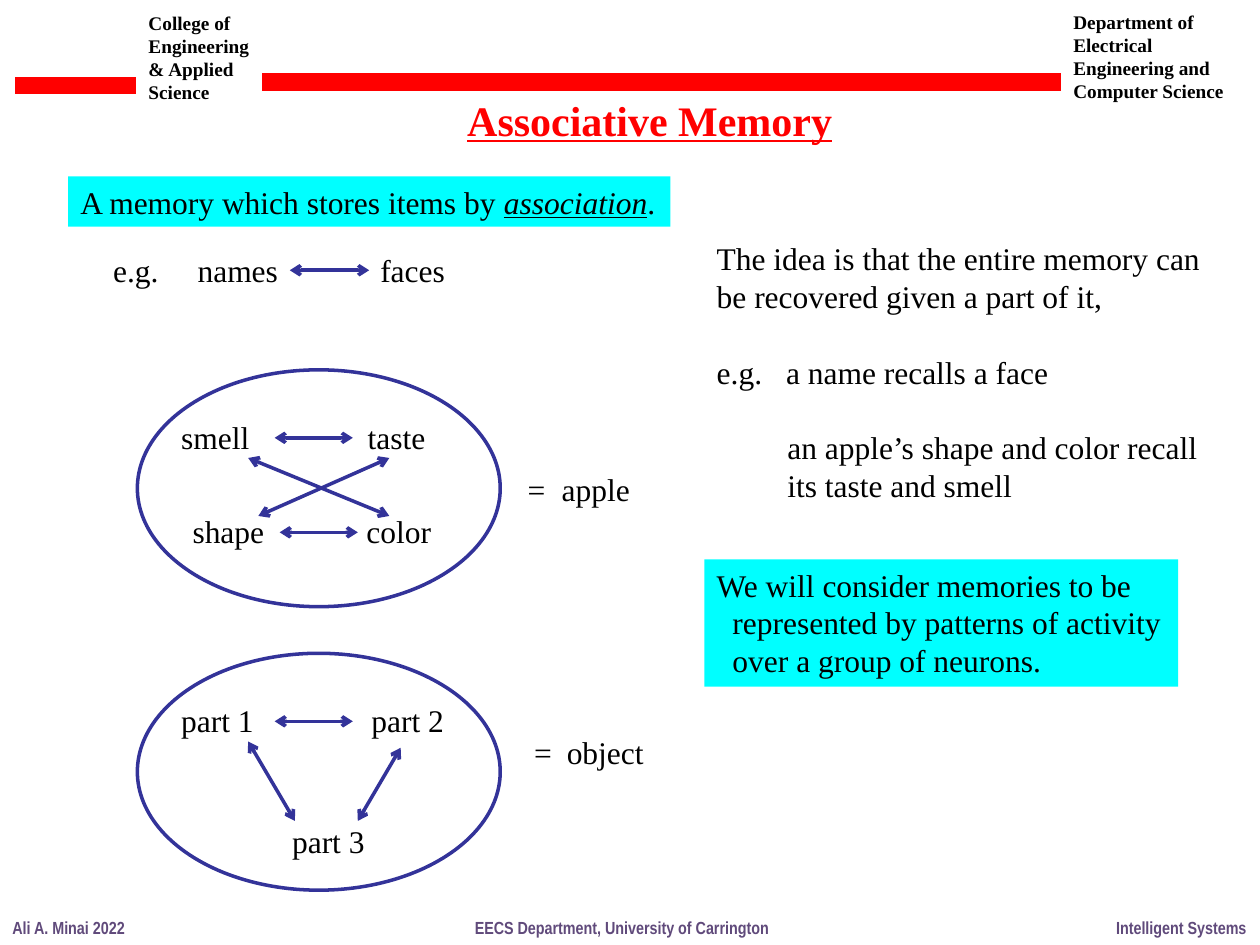
from dataclasses import dataclass
from typing import Optional

from lxml.etree import SubElement
from pptx import Presentation
from pptx.dml.color import RGBColor
from pptx.enum.shapes import MSO_CONNECTOR as CONN, MSO_SHAPE as SHAPE
from pptx.enum.text import MSO_ANCHOR as ANCHOR, PP_ALIGN as ALIGN
from pptx.oxml.ns import qn
from pptx.util import Emu, Inches, Pt

BLACK = RGBColor(0x00, 0x00, 0x00)
RED = RGBColor(0xFF, 0x00, 0x00)
CYAN = RGBColor(0x00, 0xFF, 0xFF)
INDIGO = RGBColor(0x33, 0x33, 0x99)
PURPLE = RGBColor(0x60, 0x4A, 0x7B)

COLS, ROWS = 100, 75
SERIF, NARROW = "Times New Roman", "Arial Narrow"


@dataclass(frozen=True)
class Run:
    text: str
    emphasis: bool = False


@dataclass(frozen=True)
class Para:
    runs: tuple[Run, ...]
    indent: float = 0
    hanging: float = 0
    before: float = 0


@dataclass(frozen=True)
class Style:
    size: float = 18
    font: str = SERIF
    color: RGBColor = BLACK
    bold: bool = False
    underline: bool = False


@dataclass(frozen=True)
class Block:
    box: tuple[float, float, float, float]
    paras: tuple[Para, ...]
    style: Style = Style()
    fill: Optional[RGBColor] = None
    wrap: bool = True


@dataclass(frozen=True)
class Line:
    start: tuple[float, float]
    end: tuple[float, float]
    color: RGBColor = INDIGO
    width: float = 2
    arrows: bool = True


def para(text: str, **options: float) -> Para:
    return Para((Run(text),), **options)


def label(x: float, y: float, text: str) -> Block:
    return Block((x, y, 10, 4), (para(text),))


prs = Presentation()
prs.slide_width, prs.slide_height = Inches(10), Inches(7.5)
s = prs.slides.add_slide(prs.slide_layouts[6])


def col(n: float) -> Emu:
    return Emu(round(prs.slide_width * n / COLS))


def row(n: float) -> Emu:
    return Emu(round(prs.slide_height * n / ROWS))


def place(box: tuple[float, float, float, float]) -> tuple[Emu, Emu, Emu, Emu]:
    x, y, w, h = box
    return col(x), row(y), col(w), row(h)


def draw_block(b: Block) -> None:
    if b.fill is None:
        sp = s.shapes.add_textbox(*place(b.box))
    else:
        sp = s.shapes.add_shape(SHAPE.RECTANGLE, *place(b.box))
        sp.shadow.inherit = False
        sp.fill.solid()
        sp.fill.fore_color.rgb = b.fill
        sp.line.fill.background()
    tf = sp.text_frame
    tf.word_wrap = b.wrap
    tf.vertical_anchor = ANCHOR.TOP
    for i, item in enumerate(b.paras):
        p = tf.paragraphs[0] if i == 0 else tf.add_paragraph()
        p.alignment = ALIGN.LEFT
        p.space_before = Pt(item.before)
        pPr = p._p.get_or_add_pPr()
        pPr.set("marL", str(col(item.indent)))
        pPr.set("indent", str(-col(item.hanging)))
        for part in item.runs:
            r = p.add_run()
            r.text = part.text
            r.font.name = b.style.font
            r.font.size = Pt(b.style.size)
            r.font.color.rgb = b.style.color
            r.font.bold = b.style.bold
            r.font.italic = part.emphasis
            r.font.underline = b.style.underline or part.emphasis


def draw_line(line: Line) -> None:
    (x1, y1), (x2, y2) = line.start, line.end
    c = s.shapes.add_connector(CONN.STRAIGHT, col(x1), row(y1), col(x2), row(y2))
    c.line.color.rgb = line.color
    c.line.width = Pt(line.width)
    if line.arrows:
        for end in ("a:headEnd", "a:tailEnd"):
            SubElement(c.line._get_or_add_ln(), qn(end), type="arrow")
    SubElement(c._element.spPr, qn("a:effectLst"))


def draw_ellipse(top: float) -> None:
    sp = s.shapes.add_shape(SHAPE.OVAL, *place((10.9, top, 28.8, 18.8)))
    sp.shadow.inherit = False
    sp.fill.background()
    sp.line.color.rgb = INDIGO
    sp.line.width = Pt(2)


HEADER = Style(size=11, bold=True)
FOOTER = Style(size=10, font=NARROW, color=PURPLE, bold=True)
TITLE = Style(size=24, color=RED, bold=True, underline=True)
GAP = 21.6
APPLE, OBJECT = 29.35, 51.85

BLOCKS = (
    Block((10.8, 0.4, 10.9, 8.4),
          (para("College of Engineering & Applied"), para("Science")), HEADER),
    Block((84.2, 0.3, 14.7, 8.4),
          (para("Department of Electrical Engineering and Computer Science"),), HEADER),
    Block((0, 72.3, 11, 2.7), (para("Ali A. Minai 2022"),), FOOTER, wrap=False),
    Block((87.6, 72.3, 12.4, 2.7), (para("Intelligent Systems"),), FOOTER, wrap=False),
    Block((36.7, 72.3, 30, 2.7),
          (para("EECS Department, University of Carrington"),), FOOTER),
    Block((36.1, 7, 32, 5), (para("Associative Memory"),), TITLE),
    Block((5.4, 14, 47.8, 4),
          (Para((Run("A memory which stores items by "), Run("association", True),
                 Run("."))),), fill=CYAN, wrap=False),
    label(8, 19.4, "e.g."),
    label(14.7, 19.4, "names"),
    label(29.2, 19.4, "faces"),
    label(13.4, APPLE + 3.3, "smell"),
    label(28.2, APPLE + 3.3, "taste"),
    label(14.3, APPLE + 10.8, "shape"),
    label(28.1, APPLE + 10.8, "color"),
    label(40.9, APPLE + 7.5, "="),
    label(43.6, APPLE + 7.5, "apple"),
    label(13.4, OBJECT + 3.3, "part 1"),
    label(28.5, OBJECT + 3.3, "part 2"),
    label(22.2, OBJECT + 12.9, "part 3"),
    label(41.4, OBJECT + 5.8, "="),
    label(44, OBJECT + 5.8, "object"),
    Block((55.9, 18.5, 42, 13),
          (para("The idea is that the entire memory can"),
           para("be recovered given a part of it,"),
           para("e.g.", before=GAP))),
    Block((61.4, 27.5, 36.5, 13),
          (para("a name recalls a face"),
           para("an apple’s shape and color recall", indent=0.1, before=GAP),
           para("its taste and smell", indent=0.1))),
    Block((55.9, 44.4, 37.6, 10.1),
          (para("We will consider memories to be", indent=1.25, hanging=1.25),
           para("represented by patterns of activity", indent=1.25),
           para("over a group of neurons.", indent=1.25)), fill=CYAN, wrap=False),
)

LINES = (
    Line((1.2, 6.8), (10.8, 6.8), RED, 10, False),
    Line((20.8, 6.5), (84.2, 6.5), RED, 10, False),
    Line((23, 21.45), (29.3, 21.45)),
    Line((21.8, APPLE + 5.4), (28, APPLE + 5.4)),
    Line((22.2, APPLE + 12.9), (28.4, APPLE + 12.9)),
    Line((19.7, APPLE + 7), (30.9, APPLE + 11.6)),
    Line((20.5, APPLE + 11.6), (30.9, APPLE + 7)),
    Line((21.8, OBJECT + 5.4), (28, OBJECT + 5.4)),
    Line((19.7, OBJECT + 7), (23.4, OBJECT + 13.3)),
    Line((28.4, OBJECT + 13.3), (31.8, OBJECT + 7.5)),
)

for top in (APPLE, OBJECT):
    draw_ellipse(top)
for block in BLOCKS:
    draw_block(block)
for line in LINES:
    draw_line(line)

prs.save("out.pptx")
